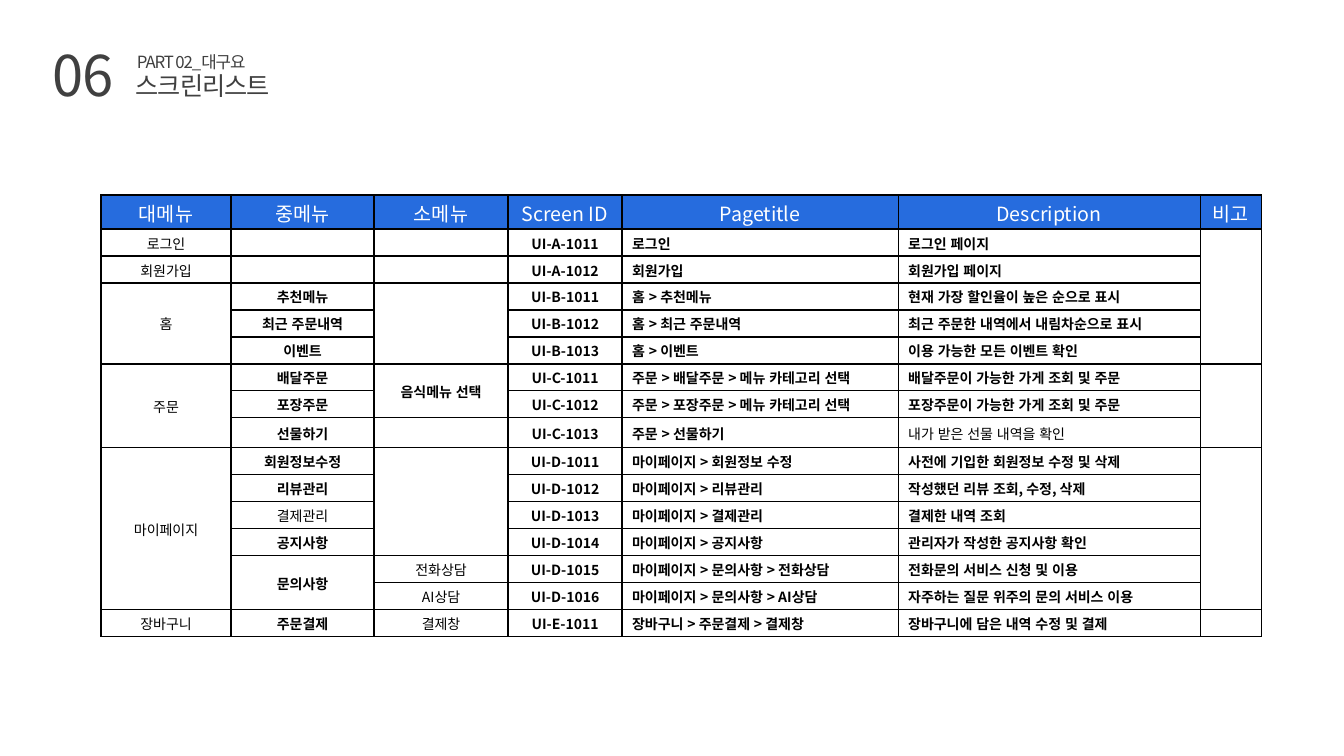
from dataclasses import dataclass

from lxml import etree
from pptx import Presentation
from pptx import util as u
from pptx.dml.color import RGBColor
from pptx.enum import text
from pptx.oxml.ns import qn

PX_PER_INCH = 100.8


@dataclass(frozen=True)
class Theme:
    """Colours, font and type sizes of the slide."""
    font: str = "Noto Sans CJK KR"
    title: str = "404040"
    header_fill: str = "266CDE"
    header_text: str = "FFFFFF"
    ink: str = "000000"
    number_size: int = 40
    title_size: int = 18
    part_size: int = 12
    header_size: int = 14
    body_size: int = 10
    spacing: int = -80
    border: float = 1


THEME = Theme()

COLUMNS = [130, 143, 134, 114, 276, 302, 61]
HEADER_HEIGHT, ROW_HEIGHT, GIFT_HEIGHT = 34, 27, 30
GIFT_ROW = 8
ID_COLUMN = 3
LEFT_COLUMNS = (4, 5)
PLAIN = {"결제관리", "전화상담", "AI상담", "결제창", "내가 받은 선물 내역을 확인"}

HEADINGS = ("대메뉴", "중메뉴", "소메뉴", "Screen ID", "Pagetitle", "Description", "비고")
UP = None
SCREENS = [
    ("로그인", "", "", "A-1011", "로그인", "로그인 페이지", ""),
    ("회원가입", "", "", "A-1012", "회원가입", "회원가입 페이지", UP),
    ("홈", "추천메뉴", "", "B-1011", "홈 > 추천메뉴", "현재 가장 할인율이 높은 순으로 표시", UP),
    (UP, "최근 주문내역", UP, "B-1012", "홈 > 최근 주문내역", "최근 주문한 내역에서 내림차순으로 표시", UP),
    (UP, "이벤트", UP, "B-1013", "홈 > 이벤트", "이용 가능한 모든 이벤트 확인", UP),
    ("주문", "배달주문", "음식메뉴 선택", "C-1011", "주문 > 배달주문 > 메뉴 카테고리 선택",
     "배달주문이 가능한 가게 조회 및 주문", ""),
    (UP, "포장주문", UP, "C-1012", "주문 > 포장주문 > 메뉴 카테고리 선택",
     "포장주문이 가능한 가게 조회 및 주문", UP),
    (UP, "선물하기", "", "C-1013", "주문 > 선물하기", "내가 받은 선물 내역을 확인", UP),
    ("마이페이지", "회원정보수정", "", "D-1011", "마이페이지 > 회원정보 수정",
     "사전에 기입한 회원정보 수정 및 삭제", ""),
    (UP, "리뷰관리", UP, "D-1012", "마이페이지 > 리뷰관리", "작성했던 리뷰 조회, 수정, 삭제", UP),
    (UP, "결제관리", UP, "D-1013", "마이페이지 > 결제관리", "결제한 내역 조회", UP),
    (UP, "공지사항", UP, "D-1014", "마이페이지 > 공지사항", "관리자가 작성한 공지사항 확인", UP),
    (UP, "문의사항", "전화상담", "D-1015", "마이페이지 > 문의사항 > 전화상담",
     "전화문의 서비스 신청 및 이용", UP),
    (UP, UP, "AI상담", "D-1016", "마이페이지 > 문의사항 > AI상담",
     "자주하는 질문 위주의 문의 서비스 이용", UP),
    ("장바구니", "주문결제", "결제창", "E-1011", "장바구니 > 주문결제 > 결제창",
     "장바구니에 담은 내역 수정 및 결제", ""),
]


def px(length):
    """Turn px into EMU."""
    return u.Inches(length / PX_PER_INCH)


def add_run(paragraph, words, size, color, bold=False, spacing=0):
    """Add one styled run to a paragraph."""
    run = paragraph.add_run()
    run.text = words
    run.font.name = THEME.font
    run.font.size = u.Pt(size)
    run.font.bold = bold
    run.font.color.rgb = RGBColor.from_string(color)
    style = run.font._element
    style.set("lang", "ko-KR")
    if spacing:
        style.set("spc", str(spacing))
    etree.SubElement(style, qn("a:ea"), typeface=THEME.font)


def add_title(slide, left, top):
    """Place the page number, part label and title from a top left corner."""
    lines = [
        ("PART 02_대구요", 84, 11, 213, 29, THEME.part_size),
        ("스크린리스트", 83, 29, 180, 40, THEME.title_size),
        ("06", 0, 0, 93, 78, THEME.number_size),
    ]
    for words, dx, dy, width, height, size in lines:
        frame = slide.shapes.add_textbox(
            px(left + dx), px(top + dy), px(width), px(height)).text_frame
        frame.word_wrap = True
        frame.auto_size = text.MSO_AUTO_SIZE.SHAPE_TO_FIT_TEXT
        add_run(frame.paragraphs[0], words, size, THEME.title, spacing=THEME.spacing)


def add_borders(cell):
    """Draw a solid line on all four sides of a cell."""
    properties = cell._tc.get_or_add_tcPr()
    for side in ("L", "R", "T", "B"):
        line = etree.SubElement(properties, qn(f"a:ln{side}"), w=str(u.Pt(THEME.border)))
        fill = etree.SubElement(line, qn("a:solidFill"))
        etree.SubElement(fill, qn("a:srgbClr"), val=THEME.ink)


def fill_cell(cell, words, row, column):
    """Style one cell of the screen list and write its words."""
    header = row == 0
    add_borders(cell)
    if header:
        cell.fill.solid()
        cell.fill.fore_color.rgb = RGBColor.from_string(THEME.header_fill)
    else:
        cell.fill.background()
    cell.margin_top, cell.margin_bottom = px(3), px(2)
    cell.vertical_anchor = text.MSO_ANCHOR.MIDDLE
    paragraph = cell.text_frame.paragraphs[0]
    left = not header and column in LEFT_COLUMNS
    paragraph.alignment = text.PP_ALIGN.LEFT if left else text.PP_ALIGN.CENTER
    if not words:
        etree.SubElement(paragraph._p, qn("a:endParaRPr"), sz=str(THEME.body_size * 100))
    elif header:
        add_run(paragraph, words, THEME.header_size, THEME.header_text)
    else:
        label = f"UI-{words}" if column == ID_COLUMN else words
        bold = column > 0 and words not in PLAIN
        add_run(paragraph, label, THEME.body_size, THEME.ink, bold)


def add_screen_list(slide, left, top):
    """Place the screen list table, merging cells that continue from above."""
    rows = [HEADINGS, *SCREENS]
    heights = [HEADER_HEIGHT] + [ROW_HEIGHT] * len(SCREENS)
    heights[GIFT_ROW] = GIFT_HEIGHT
    table = slide.shapes.add_table(
        len(rows), len(COLUMNS), px(left), px(top), px(sum(COLUMNS)), px(sum(heights))).table
    table.first_row = table.horz_banding = False
    for column, width in enumerate(COLUMNS):
        table.columns[column].width = px(width)
    for row, height in enumerate(heights):
        table.rows[row].height = px(height)
        for column, words in enumerate(rows[row]):
            fill_cell(table.cell(row, column), words, row, column)
    for column in range(len(COLUMNS)):
        starts = [row for row in range(len(rows)) if rows[row][column] is not UP]
        for first, following in zip(starts, starts[1:] + [len(rows)]):
            if following - first > 1:
                table.cell(first, column).merge(table.cell(following - 1, column))


def main():
    """Build the screen list slide and save it."""
    deck = Presentation()
    deck.slide_width, deck.slide_height = u.Inches(13.33), u.Inches(7.5)
    slide = deck.slides.add_slide(deck.slide_layouts[6])
    add_title(slide, 43, 36)
    add_screen_list(slide, 101, 195)
    deck.save("out.pptx")


if __name__ == "__main__":
    main()
